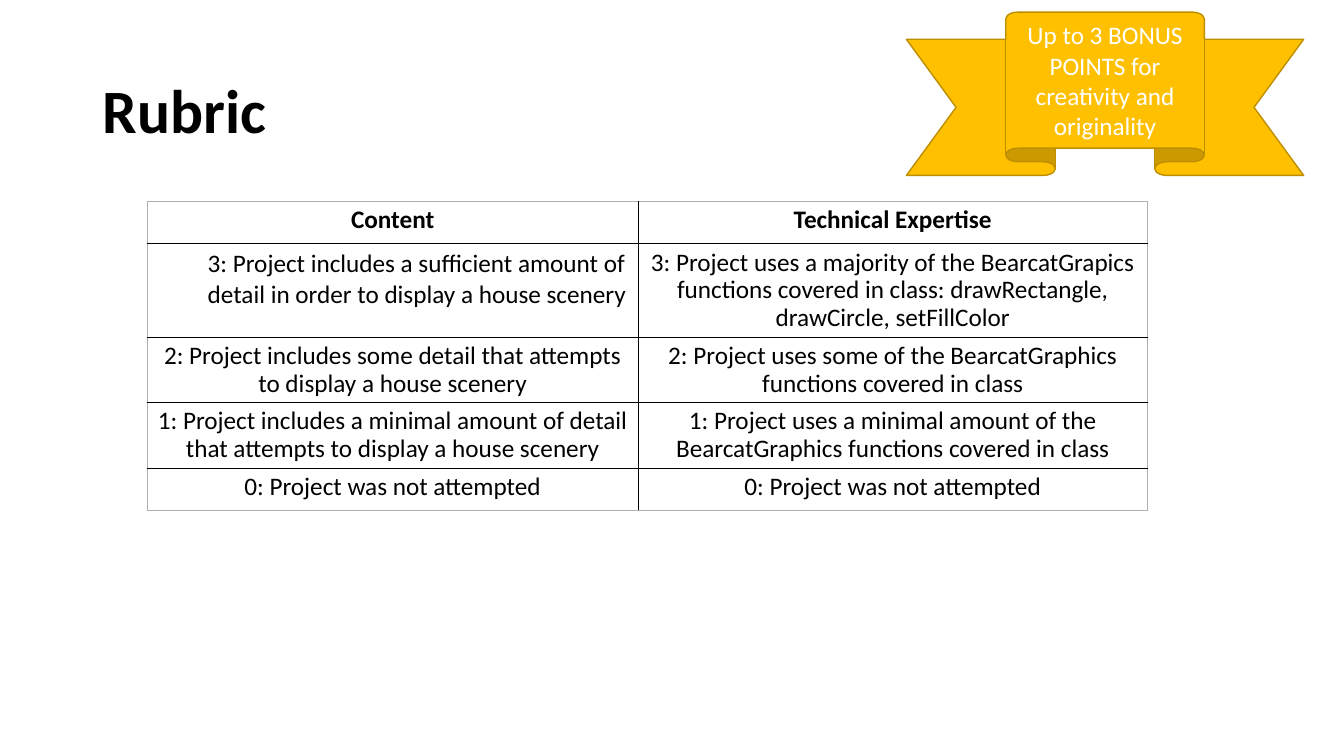
"""Build the rubric slide with its grading table and bonus ribbon."""
from lxml import etree
from pptx import Presentation
from pptx.dml.color import RGBColor
from pptx.enum.shapes import MSO_SHAPE as SHAPE
from pptx.enum.text import MSO_ANCHOR as ANCHOR, PP_ALIGN as ALIGN
from pptx.oxml.ns import qn
from pptx.util import Inches, Pt


def write(frame, text, size=18, color="000000", bold=False,
          align=ALIGN.CENTER, spacing=0.9):
    frame.word_wrap = True
    paragraph = frame.paragraphs[0]
    paragraph.alignment = align
    paragraph.line_spacing = spacing
    run = paragraph.add_run()
    run.text = text
    run.font.name = "Calibri"
    run.font.size = Pt(size)
    run.font.bold = bold
    run.font.color.rgb = RGBColor.from_string(color)
    return paragraph


def set_borders(cell, colors):
    properties = cell._tc.get_or_add_tcPr()
    for index, (side, color) in enumerate(colors.items()):
        border = etree.Element(qn(f"a:ln{side}"), w=str(Pt(1)))
        fill = etree.SubElement(border, qn("a:solidFill"))
        etree.SubElement(fill, qn("a:srgbClr"), val=color)
        properties.insert(index, border)


INNER, OUTER = "000000", "B0B0B0"
criteria = [
    ("Content", "Technical Expertise"),
    ("3: Project includes a sufficient amount of detail in order to display a house scenery",
     "3: Project uses a majority of the BearcatGrapics functions covered in class: "
     "drawRectangle, drawCircle, setFillColor"),
    ("2: Project includes some detail that attempts to display a house scenery",
     "2: Project uses some of the BearcatGraphics functions covered in class"),
    ("1: Project includes a minimal amount of detail that attempts to display a house scenery",
     "1: Project uses a minimal amount of the BearcatGraphics functions covered in class"),
    ("0: Project was not attempted", "0: Project was not attempted"),
]
row_heights = [0.42, 0.92, 0.65, 0.65, 0.42]
column_widths = [4.87, 5.05]

prs = Presentation()
prs.slide_width, prs.slide_height = Inches(13.33), Inches(7.5)
slide = prs.slides.add_slide(prs.slide_layouts[5])

title = slide.shapes.title
title.left, title.top = Inches(0.92), Inches(0.4)
title.width, title.height = Inches(11.5), Inches(1.45)
title.text_frame.vertical_anchor = ANCHOR.MIDDLE
write(title.text_frame, "Rubric", size=44, bold=True, align=ALIGN.LEFT)

rubric = slide.shapes.add_table(
    len(criteria), len(column_widths), Inches(1.46), Inches(2),
    Inches(sum(column_widths)), Inches(sum(row_heights))).table
for column, width in zip(rubric.columns, column_widths):
    column.width = Inches(width)
for row, height in zip(rubric.rows, row_heights):
    row.height = Inches(height)

last_row, last_column = len(criteria) - 1, len(column_widths) - 1
for r, level in enumerate(criteria):
    for c, text in enumerate(level):
        cell = rubric.cell(r, c)
        cell.fill.background()
        set_borders(cell, {
            "L": OUTER if c == 0 else INNER,
            "R": OUTER if c == last_column else INNER,
            "T": OUTER if r == 0 else INNER,
            "B": OUTER if r == last_row else INNER,
        })
        if (r, c) == (1, 0):
            indented = write(cell.text_frame, text, align=ALIGN.LEFT, spacing=1.0)
            indented.level = 1
            indented._p.get_or_add_pPr().set("marL", str(Inches(0.5)))
        else:
            write(cell.text_frame, text, bold=r == 0)

bonus = slide.shapes.add_shape(
    SHAPE.UP_RIBBON, Inches(8.99), Inches(0.12), Inches(3.94), Inches(1.62))
bonus.shadow.inherit = False
bonus.fill.solid()
bonus.fill.fore_color.rgb = RGBColor.from_string("FFC000")
bonus.line.color.rgb = RGBColor.from_string("BD8E00")
bonus.line.width = Pt(1)
bonus.text_frame.vertical_anchor = ANCHOR.MIDDLE
write(bonus.text_frame, "Up to 3 BONUS POINTS for creativity and originality",
      color="FFFFFF", spacing=1.0)

prs.save("out.pptx")
